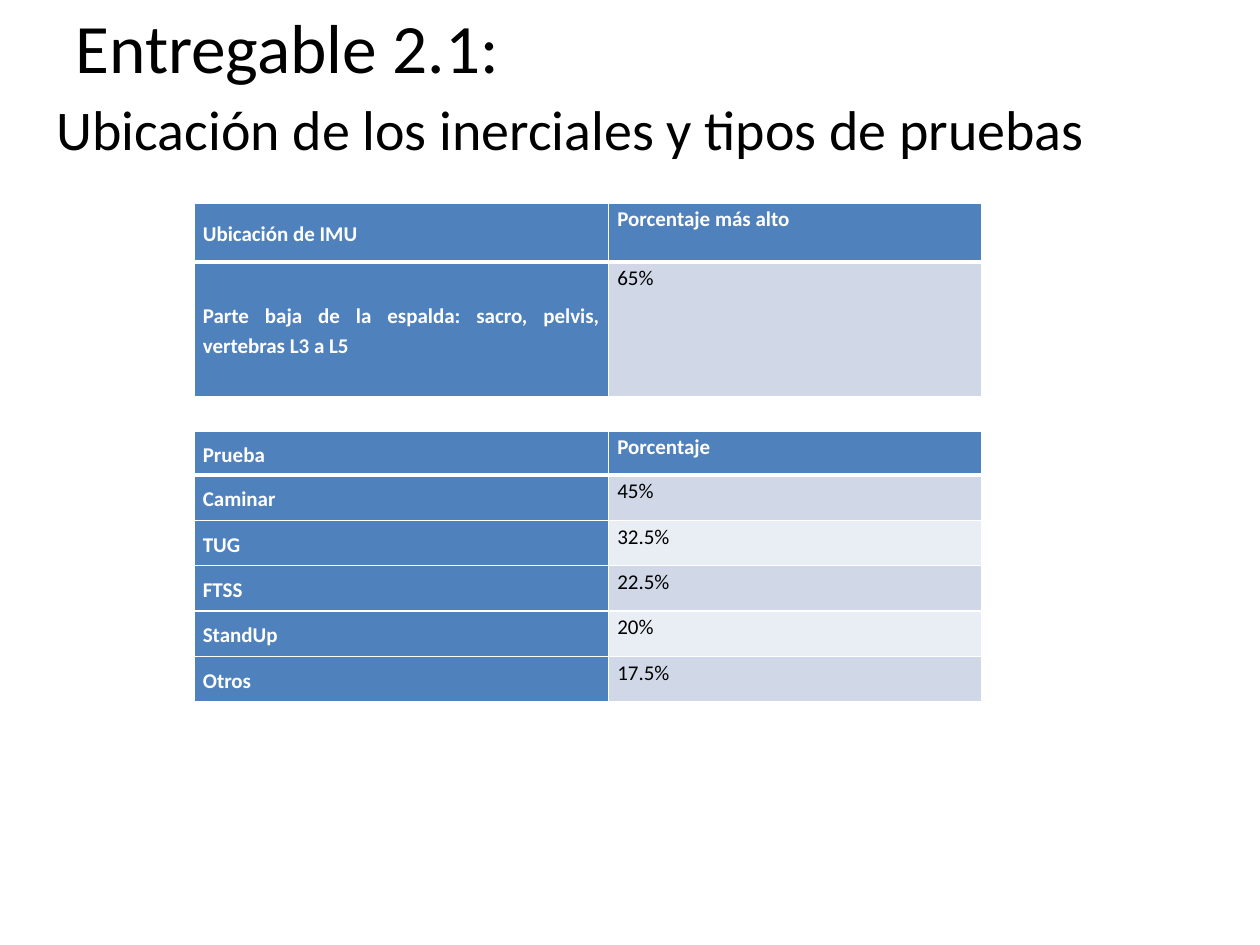
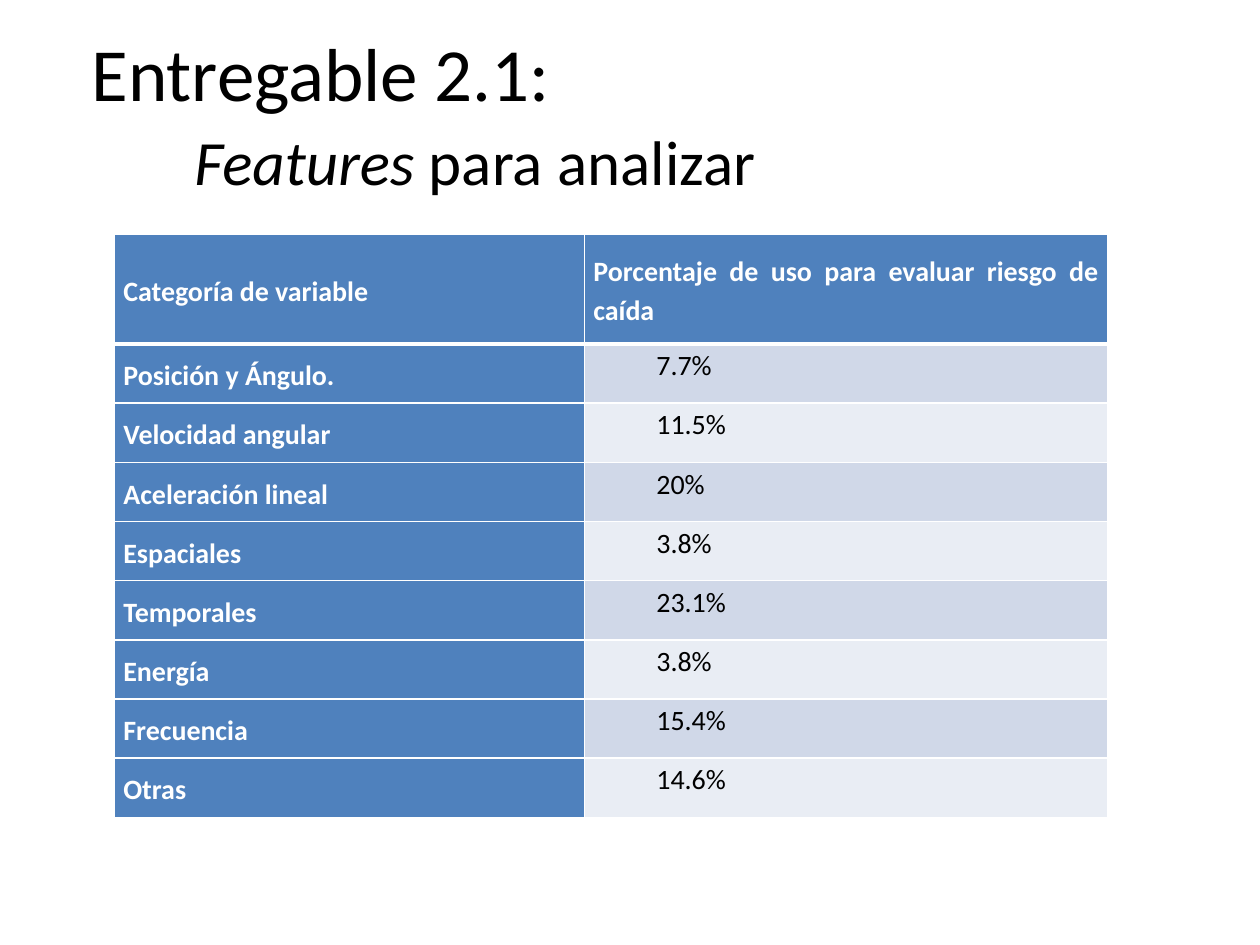
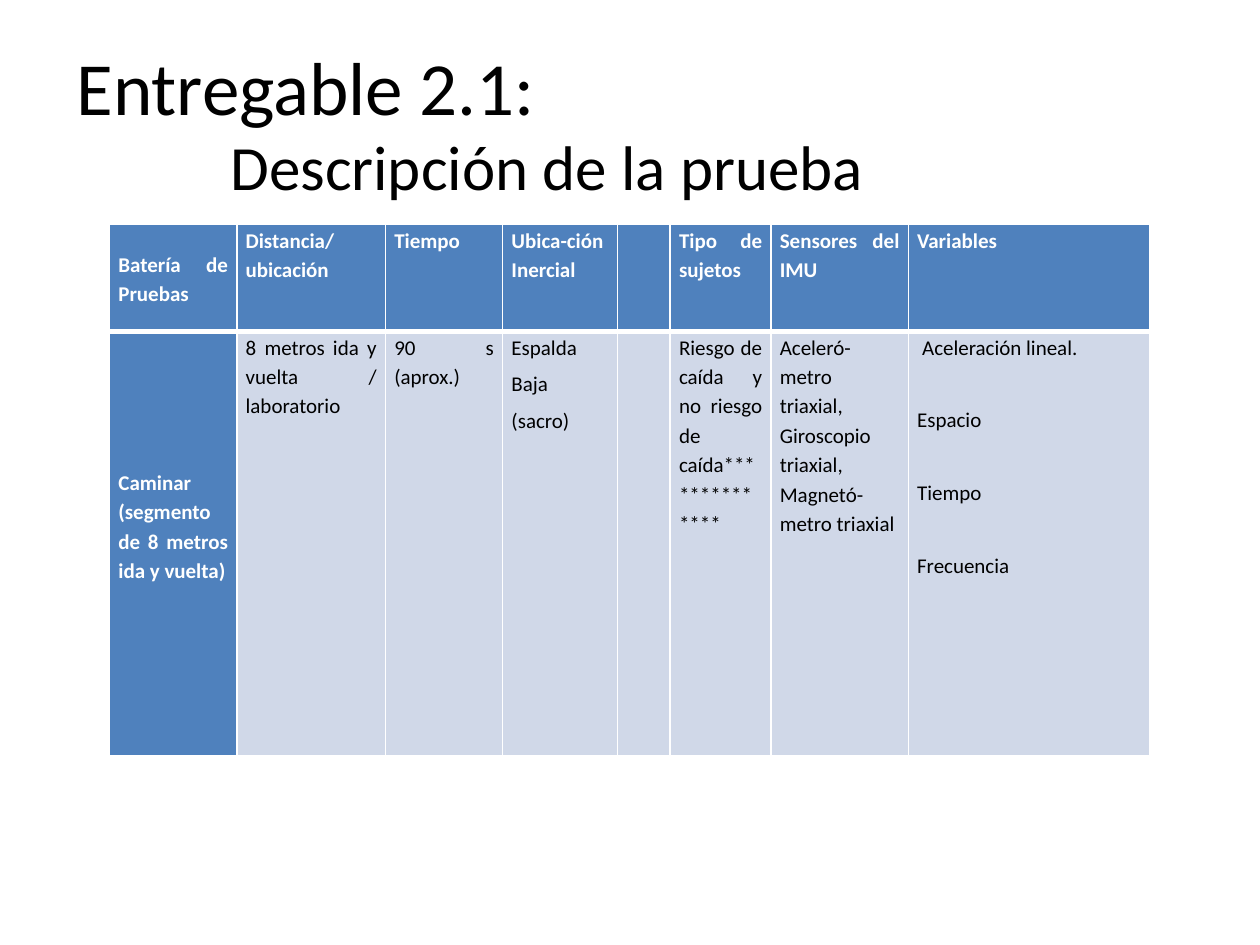
from lxml import etree
from pptx import Presentation
from pptx.dml.color import RGBColor
from pptx.enum.text import MSO_ANCHOR, MSO_AUTO_SIZE, PP_ALIGN
from pptx.oxml.ns import qn
from pptx.util import Inches, Pt

LEFT, CENTER, JUSTIFY = PP_ALIGN.LEFT, PP_ALIGN.CENTER, PP_ALIGN.JUSTIFY
TOP, MIDDLE = MSO_ANCHOR.TOP, MSO_ANCHOR.MIDDLE
NO_AUTOFIT = MSO_AUTO_SIZE.NONE

FONT = "Calibri"
COLORS = {
    "text": "000000",
    "white": "FFFFFF",
    "header": "4F81BD",
    "odd_band": "D0D8E8",
    "even_band": "E9EDF4",
}
DELIVERABLE = "Entregable 2.1:"


def rgb(name):
    return RGBColor.from_string(COLORS[name])


def style_runs(paragraph, size, color, bold=False):
    for run in paragraph.runs:
        run.font.name = FONT
        run.font.size = Pt(size)
        run.font.bold = bold
        run.font.color.rgb = rgb(color)


def write_heading(heading, box, text, size, align=LEFT, anchor=MIDDLE, italic_start=""):
    heading.left, heading.top, heading.width, heading.height = map(Inches, box)
    frame = heading.text_frame
    frame.word_wrap = True
    frame.auto_size = NO_AUTOFIT
    frame.vertical_anchor = anchor
    paragraph = frame.paragraphs[0]
    paragraph.text = italic_start
    paragraph.add_run().text = text
    paragraph.alignment = align
    style_runs(paragraph, size, "text")
    if italic_start:
        paragraph.runs[0].font.italic = True


def add_heading(slide, box, text, size, anchor=MIDDLE):
    heading = slide.shapes.add_textbox(*map(Inches, box))
    write_heading(heading, box, text, size, anchor=anchor)


def set_borders(cell, widths):
    properties = cell._tc.get_or_add_tcPr()
    for position, (side, width) in enumerate(widths.items()):
        line = etree.Element(qn(f"a:ln{side}"), w=str(Pt(width)))
        fill = etree.SubElement(line, qn("a:solidFill"))
        etree.SubElement(fill, qn("a:srgbClr"), val=COLORS["white"])
        properties.insert(position, line)


def set_indent(paragraph, inches):
    properties = paragraph._p.get_or_add_pPr()
    properties.set("marL", str(Inches(inches)))
    properties.set("indent", "0")


def fill_cell(cell, text, row, column, size, spaced, anchor):
    is_label = row == 0 or column == 0
    band = "odd_band" if row % 2 else "even_band"
    cell.fill.solid()
    cell.fill.fore_color.rgb = rgb("header" if is_label else band)
    set_borders(cell, {"L": 1, "R": 1, "T": 3 if row == 1 else 1, "B": 1 if row else 3})
    cell.margin_left = cell.margin_right = Inches(0.07)
    cell.margin_top = cell.margin_bottom = 0
    cell.vertical_anchor = anchor
    cell.text_frame.text = text
    for paragraph in cell.text_frame.paragraphs:
        paragraph.alignment = JUSTIFY
        paragraph.line_spacing = 1.15
        if spaced:
            paragraph.space_before = paragraph.space_after = Pt(2)
        style_runs(paragraph, size, "white" if is_label else "text", is_label)


def add_data_table(slide, box, rows, column_widths, row_heights, size=12, spaced_rows=1,
                   centered_header=False):
    table = slide.shapes.add_table(len(rows), len(column_widths), *map(Inches, box)).table
    for column, width in zip(table.columns, column_widths):
        column.width = Inches(width)
    for table_row, height in zip(table.rows, row_heights):
        table_row.height = Inches(height)
    for r, row in enumerate(rows):
        for c, text in enumerate(row):
            centered = c == 0 or (r == 0 and centered_header)
            fill_cell(table.cell(r, c), text, r, c, size, r < spaced_rows,
                      MIDDLE if centered else TOP)
    return table


def build_locations_slide(slide):
    write_heading(slide.shapes.title, (0.5, 0.13, 9.15, 0.47), DELIVERABLE, 39.6)
    column_widths = (3.29, 2.96)
    locations = [
        ("Ubicación de IMU", "Porcentaje más alto"),
        ("Parte baja de la espalda: sacro, pelvis, vertebras L3 a L5", "65%"),
    ]
    add_data_table(slide, (1.54, 1.61, 6.25, 1.54), locations, column_widths, (0.47, 1.07))
    tests = [
        ("Prueba", "Porcentaje"),
        ("Caminar", "45%"),
        ("TUG", "32.5%"),
        ("FTSS", "22.5%"),
        ("StandUp", "20%"),
        ("Otros", "17.5%"),
    ]
    add_data_table(slide, (1.54, 3.42, 6.25, 2.15), tests, column_widths, [0.35] + [0.36] * 5)
    add_heading(slide, (0.35, 0.7, 8.66, 0.64),
                "Ubicación de los inerciales y tipos de pruebas", 32, TOP)


def build_features_slide(slide):
    write_heading(slide.shapes.title, (-0.1, 0.84, 7.74, 0.87), " para analizar", 36,
                  CENTER, italic_start="Features")
    features = [
        ("Categoría de variable", "Porcentaje de uso para evaluar riesgo de caída"),
        ("Posición y Ángulo.", "7.7%"),
        ("Velocidad angular", "11.5%"),
        ("Aceleración lineal", "20%"),
        ("Espaciales", "3.8%"),
        ("Temporales", "23.1%"),
        ("Energía", "3.8%"),
        ("Frecuencia", "15.4%"),
        ("Otras", "14.6%"),
    ]
    table = add_data_table(slide, (0.91, 1.86, 7.87, 4.61), features, (3.73, 4.15),
                           [0.87] + [0.47] * 8, 16, spaced_rows=2, centered_header=True)
    for row in range(1, len(features)):
        percentage = table.cell(row, 1).text_frame.paragraphs[0]
        percentage.level = 1
        set_indent(percentage, 0.5)
    add_heading(slide, (0.63, 0.13, 7.44, 0.87), DELIVERABLE, 42.9)


def build_description_slide(slide):
    write_heading(slide.shapes.title, (1.61, 0.92, 5.46, 0.78), "Descripción de la prueba",
                  36, CENTER)
    battery = [
        ("Batería de Pruebas", "Distancia/ ubicación", "Tiempo", "Ubica-ción Inercial", "",
         "Tipo de sujetos", "Sensores del IMU", "Variables"),
        ("Caminar (segmento de 8 metros ida y vuelta)", "8 metros ida y vuelta / laboratorio",
         "90 s (aprox.)", "Espalda\nBaja\n(sacro)", "",
         "Riesgo de caída y no riesgo de caída**************",
         "Aceleró-metro triaxial, Giroscopio triaxial, Magnetó-metro triaxial ",
         "Aceleración lineal.\nEspacio\nTiempo\nFrecuencia"),
    ]
    table = add_data_table(slide, (0.87, 1.78, 8.27, 4.23), battery,
                           (1.01, 1.18, 0.93, 0.91, 0.42, 0.8, 1.09, 1.92),
                           (0.85, 3.37), spaced_rows=2)
    table.cell(1, 0).margin_bottom = Inches(0.29)
    first_variable, *other_variables = table.cell(1, 7).text_frame.paragraphs
    set_indent(first_variable, 0.04)
    for variable in other_variables:
        variable.space_before = Pt(22.8)
    add_heading(slide, (0.51, 0.13, 9.29, 1.1), DELIVERABLE, 42.9)


def main():
    deck = Presentation()
    deck.slide_width, deck.slide_height = Inches(10), Inches(7.5)
    title_only = deck.slide_layouts[5]
    for build in (build_locations_slide, build_features_slide, build_description_slide):
        build(deck.slides.add_slide(title_only))
    deck.save("out.pptx")


if __name__ == "__main__":
    main()
